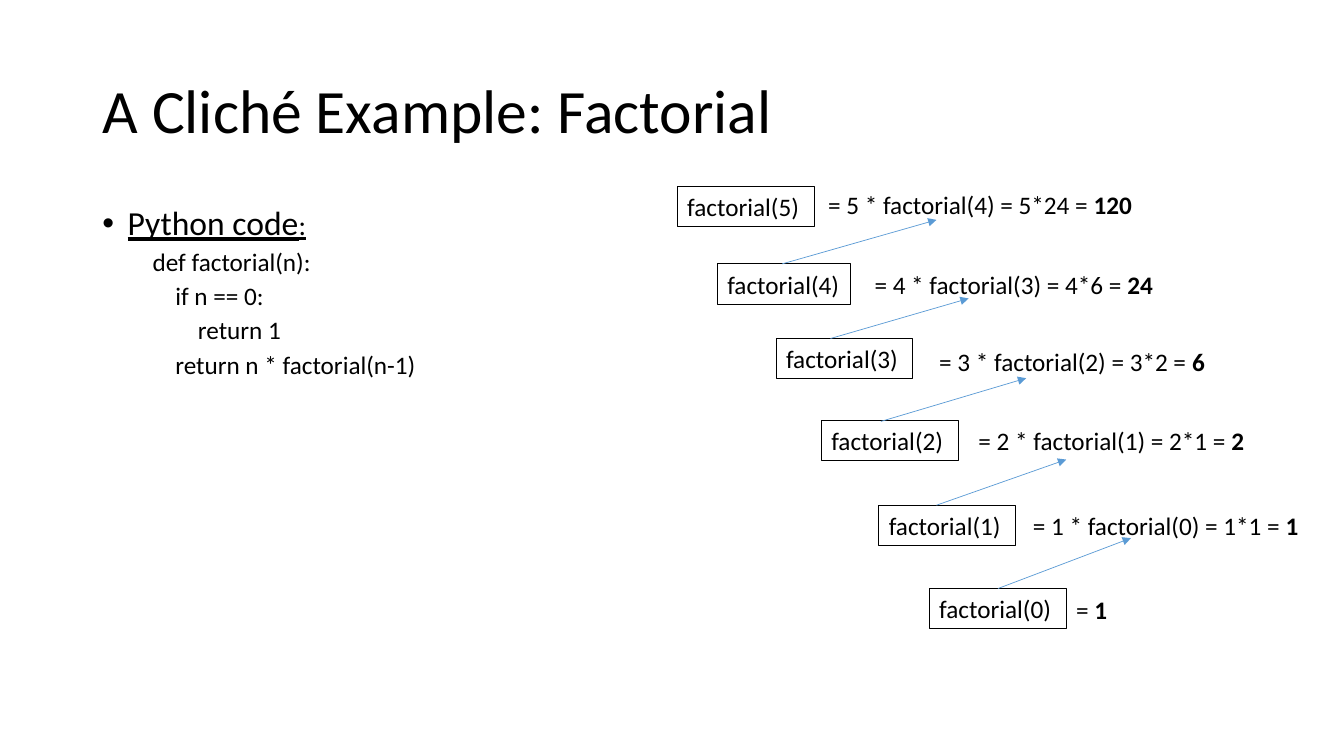
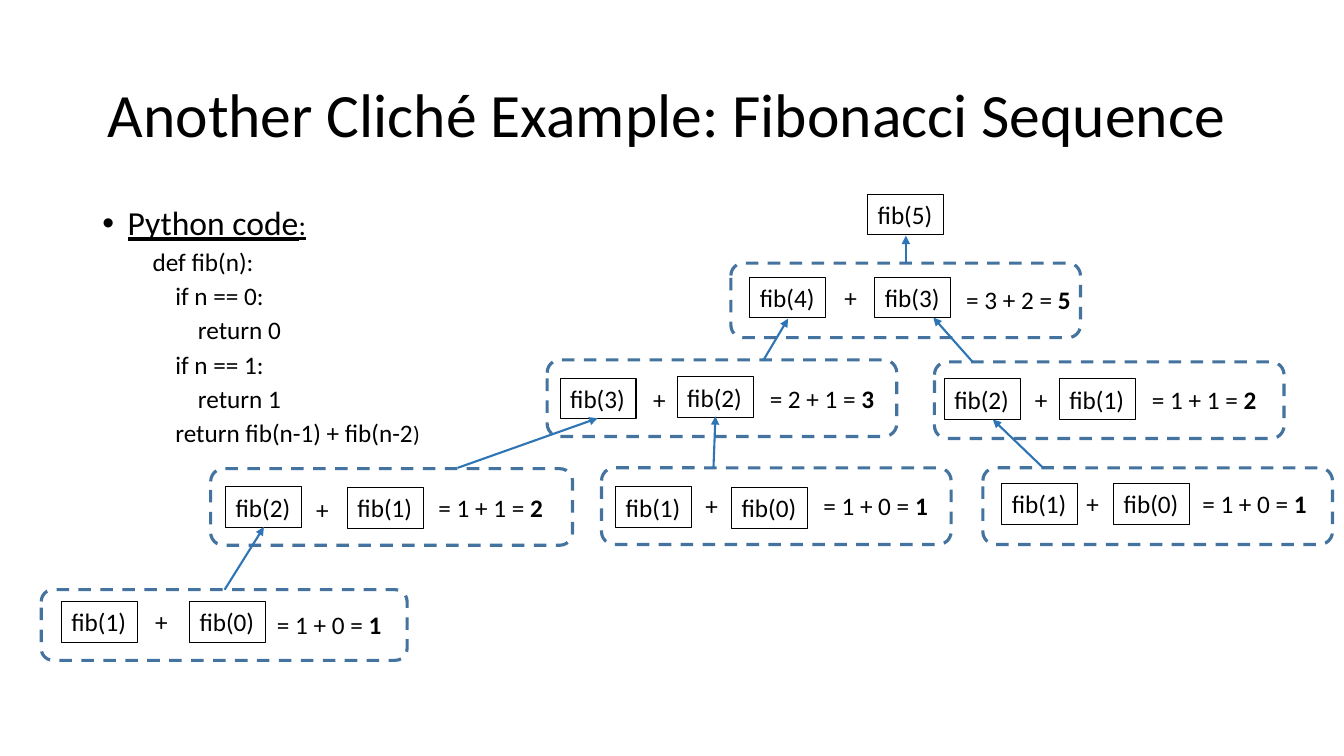
from math import factorial

from lxml.etree import SubElement
from pptx import Presentation
from pptx.dml.color import RGBColor
from pptx.enum.dml import MSO_LINE_DASH_STYLE as Dash
from pptx.enum.shapes import MSO_CONNECTOR as Connector
from pptx.enum.shapes import MSO_SHAPE as Preset
from pptx.enum.text import MSO_ANCHOR as Anchor
from pptx.enum.text import MSO_AUTO_SIZE as AutoSize
from pptx.enum.text import PP_ALIGN as Align
from pptx.oxml.ns import qn
from pptx.util import Cm, Pt

BLACK = RGBColor(0x00, 0x00, 0x00)
SKY = RGBColor(0x5B, 0x9B, 0xD5)
BLUE = RGBColor(0x2E, 0x75, 0xB6)
STEEL = RGBColor(0x43, 0x73, 0x9E)
FONT = "Calibri"
LINE_HEIGHT = 1.02
CODE_INDENT = 1.27
CODE_STEP = 0.57

FACTORIAL_CODE = [
    (0, "def factorial(n):"),
    (1, "if n == 0:"),
    (2, "return 1"),
    (1, "return n * factorial(n-1)"),
]
FACTORIAL_CALLS = [
    (5, (17.07, 4.7, 3.45), (20.62, 4.65, 8.56)),
    (4, (18.08, 6.65, 3.35), (21.79, 6.65, 7.92)),
    (3, (19.56, 8.53, 3.45), (23.42, 8.59, 7.29)),
    (2, (20.7, 10.59, 3.45), (24.41, 10.59, 7.29)),
    (1, (22.15, 12.73, 3.45), (25.78, 12.73, 7.39)),
    (0, (23.42, 14.83, 3.45), (26.87, 14.86, 1.3)),
]
FACTORIAL_ARROWS = [
    ((19.71, 6.65), (23.6, 5.54)),
    ((20.93, 8.53), (24.41, 7.52)),
    ((22.2, 10.62), (25.86, 9.53)),
    ((23.6, 12.73), (26.87, 11.58)),
    ((25.15, 14.83), (28.5, 13.56)),
]

FIBONACCI_CODE = [
    (0, "def fib(n):"),
    (1, "if n == 0:"),
    (2, "return 0"),
    (1, "if n == 1:"),
    (2, "return 1"),
    (1, "return fib(n-1) + fib(n-2"),
]
FIBONACCI_SUMS = [
    (5, (18.42, 6.63, 8.81, 1.88),
     (18.9, 6.99), (21.03, 6.99), (22.05, 6.99), (24.1, 7.04)),
    (4, (13.79, 9.07, 8.81, 1.93),
     (14.12, 9.53), (16.21, 9.55), (17.07, 9.5), (19.15, 9.53)),
    (3, (23.55, 9.12, 8.81, 1.93),
     (23.8, 9.55), (25.83, 9.55), (26.7, 9.55), (28.78, 9.55)),
    (3, (5.31, 11.81, 9.12, 1.93),
     (5.69, 12.27), (7.72, 12.32), (8.76, 12.29), (10.8, 12.29)),
    (2, (15.16, 11.79, 8.81, 1.93),
     (15.52, 12.27), (17.53, 12.24), (18.44, 12.29), (20.5, 12.24)),
    (2, (24.77, 11.79, 8.81, 1.93),
     (25.25, 12.19), (27.13, 12.17), (28.07, 12.19), (30.05, 12.19)),
    (2, (1.04, 14.86, 9.22, 1.78),
     (1.55, 15.16), (3.66, 15.16), (4.78, 15.16), (6.73, 15.24)),
]
FIBONACCI_ARROWS = [
    ((5.66, 14.86), (6.65, 13.28)),
    ((11.53, 11.79), (15.06, 10.54)),
    ((17.98, 11.79), (18.03, 10.49)),
    ((26.29, 11.79), (25.02, 10.57)),
    ((24.51, 9.12), (23.52, 8)),
    ((19.23, 9.09), (19.86, 8.03)),
    ((22.83, 6.63), (22.83, 5.94)),
]


def fibonacci(n):
    return n if n < 2 else fibonacci(n - 1) + fibonacci(n - 2)


class Deck:
    def __init__(self):
        self.presentation = Presentation()
        self.presentation.slide_width = Cm(33.87)
        self.presentation.slide_height = Cm(19.05)
        self.slide = None

    def add_slide(self, title, left, top):
        self.slide = self.presentation.slides.add_slide(self.presentation.slide_layouts[5])
        shape = self.slide.shapes.title
        shape.left, shape.top, shape.width, shape.height = Cm(left), Cm(top), Cm(29.21), Cm(3.68)
        frame = shape.text_frame
        frame.auto_size = AutoSize.NONE
        frame.vertical_anchor = Anchor.MIDDLE
        paragraph = frame.paragraphs[0]
        paragraph.alignment = Align.LEFT
        paragraph.line_spacing = 0.9
        self.add_run(paragraph, title, 44)

    def add_run(self, paragraph, text, size=18, bold=False, underline=False):
        run = paragraph.add_run()
        run.text = text
        font = run.font
        font.name, font.size, font.bold, font.underline = FONT, Pt(size), bold, underline
        font.color.rgb = BLACK

    def add_frame(self, left, top, width, height):
        shape = self.slide.shapes.add_textbox(Cm(left), Cm(top), Cm(width), Cm(height))
        shape.text_frame.word_wrap = True
        return shape

    def add_label(self, left, top, width, text, result="", boxed=False):
        shape = self.add_frame(left, top, width, LINE_HEIGHT)
        shape.text_frame.margin_right = 0
        paragraph = shape.text_frame.paragraphs[0]
        self.add_run(paragraph, text)
        if result:
            self.add_run(paragraph, result, bold=True)
        if boxed:
            shape.line.color.rgb = BLACK
            shape.line.width = Pt(0.75)

    def format_paragraph(self, paragraph, space, margin, indent=0.0):
        paragraph.line_spacing = 0.9
        paragraph.space_before = Pt(space)
        properties = paragraph._p.get_or_add_pPr()
        properties.set("marL", str(Cm(margin)))
        properties.set("indent", str(Cm(indent)))
        return properties

    def add_code(self, lines, ending=""):
        frame = self.add_frame(2.33, 5.08, 14.4, 12.09).text_frame
        heading = frame.paragraphs[0]
        properties = self.format_paragraph(heading, 10, 0.64, -0.64)
        SubElement(properties, qn("a:buFont"), typeface="Arial")
        SubElement(properties, qn("a:buChar"), char="•")
        self.add_run(heading, "Python code", 24, underline=True)
        self.add_run(heading, ":", 20, underline=True)
        for level, text in lines:
            paragraph = frame.add_paragraph()
            self.format_paragraph(paragraph, 5, CODE_INDENT + level * CODE_STEP)
            self.add_run(paragraph, text)
        if ending:
            self.add_run(paragraph, ending, 16)

    def add_dashed_group(self, left, top, width, height):
        shape = self.slide.shapes.add_shape(
            Preset.ROUNDED_RECTANGLE, Cm(left), Cm(top), Cm(width), Cm(height))
        shape.shadow.inherit = False
        shape.fill.background()
        shape.line.color.rgb = STEEL
        shape.line.width = Pt(2.25)
        shape.line.dash_style = Dash.DASH

    def add_arrow(self, start, end, color, width):
        connector = self.slide.shapes.add_connector(
            Connector.STRAIGHT, *(Cm(value) for value in start + end))
        connector.line.color.rgb = color
        connector.line.width = Pt(width)
        SubElement(connector.line._get_or_add_ln(), qn("a:tailEnd"), type="triangle")
        SubElement(connector._element.spPr, qn("a:effectLst"))


def build_factorial(deck):
    deck.add_slide("A Cliché Example: Factorial", 2.33, 1.01)
    deck.add_code(FACTORIAL_CODE)
    for n, box, formula in FACTORIAL_CALLS:
        deck.add_label(*box, f"factorial({n})", boxed=True)
        steps = f"= {n} * factorial({n - 1}) = {n}*{factorial(n - 1)} = " if n else "= "
        deck.add_label(*formula, steps, str(factorial(n)))
    for start, end in FACTORIAL_ARROWS:
        deck.add_arrow(start, end, SKY, 0.5)


def build_fibonacci(deck):
    deck.add_slide("Another Cliché Example: Fibonacci Sequence", 2.46, 1.12)
    deck.add_code(FIBONACCI_CODE, ")")
    deck.add_label(21.87, 4.9, 1.91, "fib(5)", boxed=True)
    for n, group, first, plus, second, formula in FIBONACCI_SUMS:
        deck.add_dashed_group(*group)
        deck.add_label(*first, 1.91, f"fib({n - 1})", boxed=True)
        deck.add_label(*plus, 0.84, "+")
        deck.add_label(*second, 1.91, f"fib({n - 2})", boxed=True)
        steps = f"= {fibonacci(n - 1)} + {fibonacci(n - 2)} ="
        deck.add_label(*formula, 3.18, steps, f" {fibonacci(n)}")
    for start, end in FIBONACCI_ARROWS:
        deck.add_arrow(start, end, BLUE, 1.5)


def main():
    deck = Deck()
    build_factorial(deck)
    build_fibonacci(deck)
    deck.presentation.save("out.pptx")


if __name__ == "__main__":
    main()
